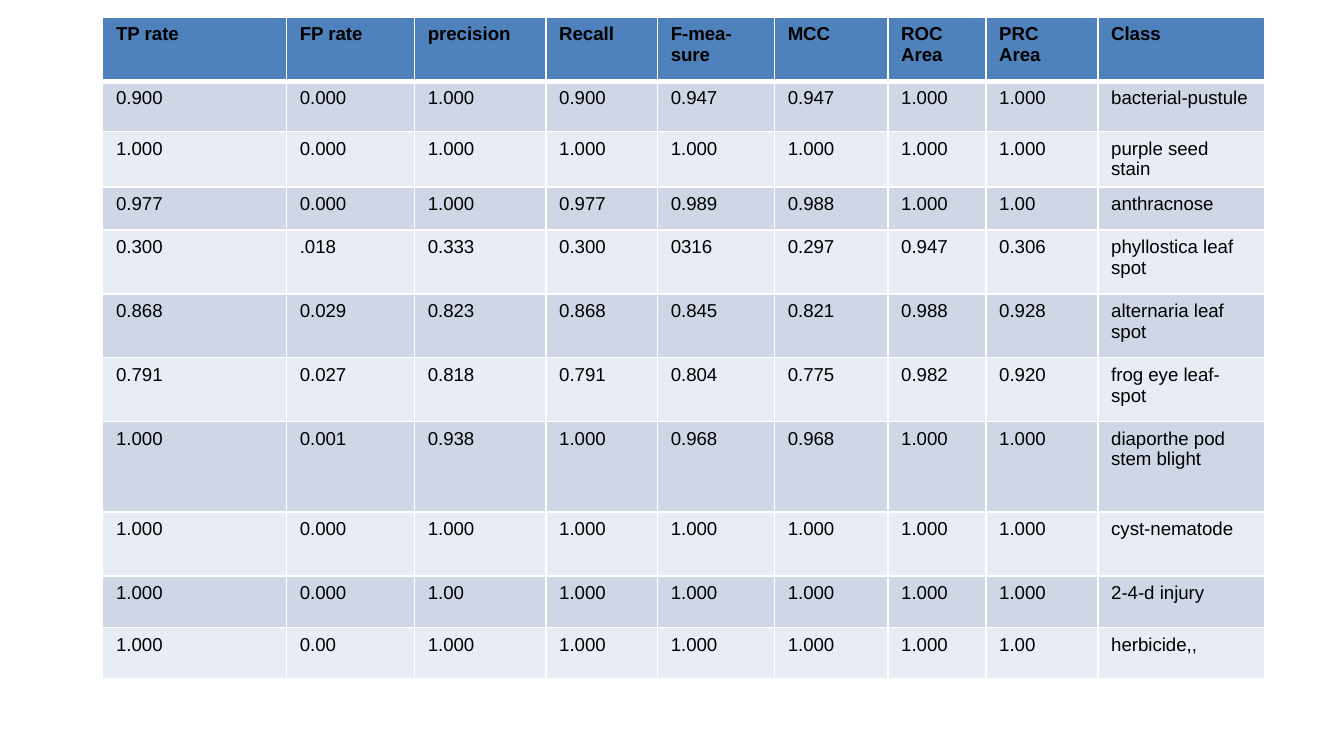
"""Builds a slide with a table of classifier accuracy for each plant disease class."""
from lxml import etree
from pptx import Presentation
from pptx.dml.color import RGBColor
from pptx.oxml.ns import qn
from pptx.util import Pt

BLANK_LAYOUT = 6
COLORS = {
    "header": "4F81BD",
    "odd": "CFD7E7",
    "even": "E8ECF4",
    "border": "FFFFFF",
    "text": "000000",
}
FONT = {"name": "Arial", "size": Pt(10)}
COLUMN_WIDTHS = [98.4, 68.6, 70.4, 59.8, 62.7, 60.8, 52.5, 60, 89.4]
ROW_HEIGHTS = [34.2, 27, 29.6, 23.2, 34.2, 34.2, 34.2, 48.6, 34.2, 27.7, 27.5]
HEADERS = [
    "TP rate", "FP rate", "precision", "Recall", "F-mea-\nsure",
    "MCC", "ROC Area", "PRC\nArea", "Class",
]
RESULTS = [
    ("0.900 0.000 1.000 0.900 0.947 0.947 1.000 1.000", "bacterial-pustule"),
    ("1.000 0.000 1.000 1.000 1.000 1.000 1.000 1.000", "purple seed stain"),
    ("0.977 0.000 1.000 0.977 0.989 0.988 1.000 1.00", "anthracnose"),
    ("0.300 .018 0.333 0.300 0316 0.297 0.947 0.306", "phyllostica leaf spot"),
    ("0.868 0.029 0.823 0.868 0.845 0.821 0.988 0.928", "alternaria leaf spot"),
    ("0.791 0.027 0.818 0.791 0.804 0.775 0.982 0.920", "frog eye leaf-spot"),
    ("1.000 0.001 0.938 1.000 0.968 0.968 1.000 1.000", "diaporthe pod stem blight"),
    ("1.000 0.000 1.000 1.000 1.000 1.000 1.000 1.000", "cyst-nematode"),
    ("1.000 0.000 1.00 1.000 1.000 1.000 1.000 1.000", "2-4-d injury"),
    ("1.000 0.00 1.000 1.000 1.000 1.000 1.000 1.00", "herbicide,,"),
]


def set_borders(cell, widths):
    properties = cell._tc.get_or_add_tcPr()
    for side, width in widths.items():
        line = etree.SubElement(properties, qn(f"a:ln{side}"), w=str(Pt(width)))
        fill = etree.SubElement(line, qn("a:solidFill"))
        etree.SubElement(fill, qn("a:srgbClr"), val=COLORS["border"])


def format_text(cell, text, bold):
    cell.text = text
    for paragraph in cell.text_frame.paragraphs:
        for run in paragraph.runs:
            for attribute, value in {**FONT, "bold": bold}.items():
                setattr(run.font, attribute, value)
            run.font.color.rgb = RGBColor.from_string(COLORS["text"])


def fill_row(table, row_index, texts):
    is_header = row_index == 0
    band = "header" if is_header else "odd" if row_index % 2 else "even"
    widths = {
        "L": 1,
        "R": 1,
        "T": 3 if row_index == 1 else 1,
        "B": 3 if is_header else 1,
    }
    for column_index, text in enumerate(texts):
        cell = table.cell(row_index, column_index)
        set_borders(cell, widths)
        cell.fill.solid()
        cell.fill.fore_color.rgb = RGBColor.from_string(COLORS[band])
        format_text(cell, text, is_header)


def add_results_table(slide, left, top):
    shape = slide.shapes.add_table(
        len(ROW_HEIGHTS), len(COLUMN_WIDTHS), Pt(left), Pt(top),
        Pt(sum(COLUMN_WIDTHS)), Pt(sum(ROW_HEIGHTS)),
    )
    table = shape.table
    for column, width in zip(table.columns, COLUMN_WIDTHS):
        column.width = Pt(width)
    for row, height in zip(table.rows, ROW_HEIGHTS):
        row.height = Pt(height)
    rows = [HEADERS] + [values.split() + [name] for values, name in RESULTS]
    for row_index, texts in enumerate(rows):
        fill_row(table, row_index, texts)


def main():
    presentation = Presentation()
    presentation.slide_width = Pt(720)
    presentation.slide_height = Pt(405)
    slide = presentation.slides.add_slide(presentation.slide_layouts[BLANK_LAYOUT])
    add_results_table(slide, 55, 9.3)
    presentation.save("out.pptx")


if __name__ == "__main__":
    main()
